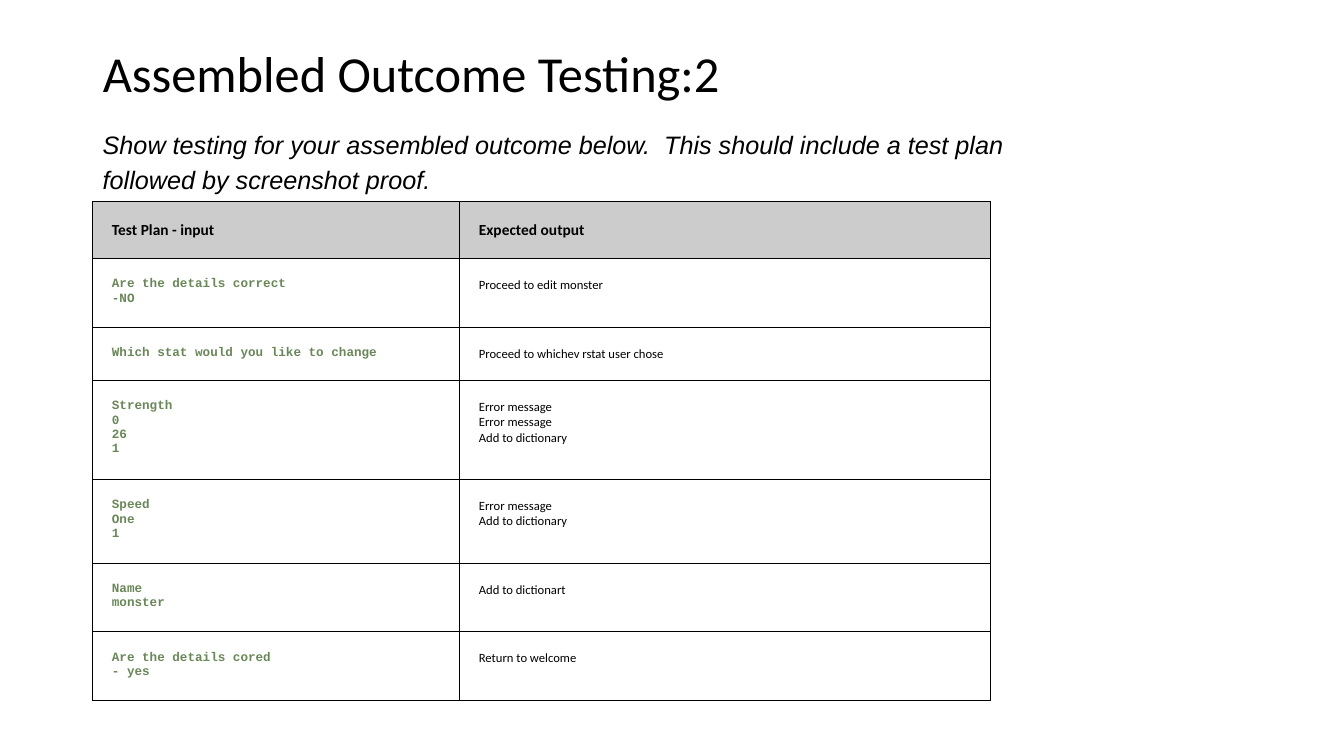
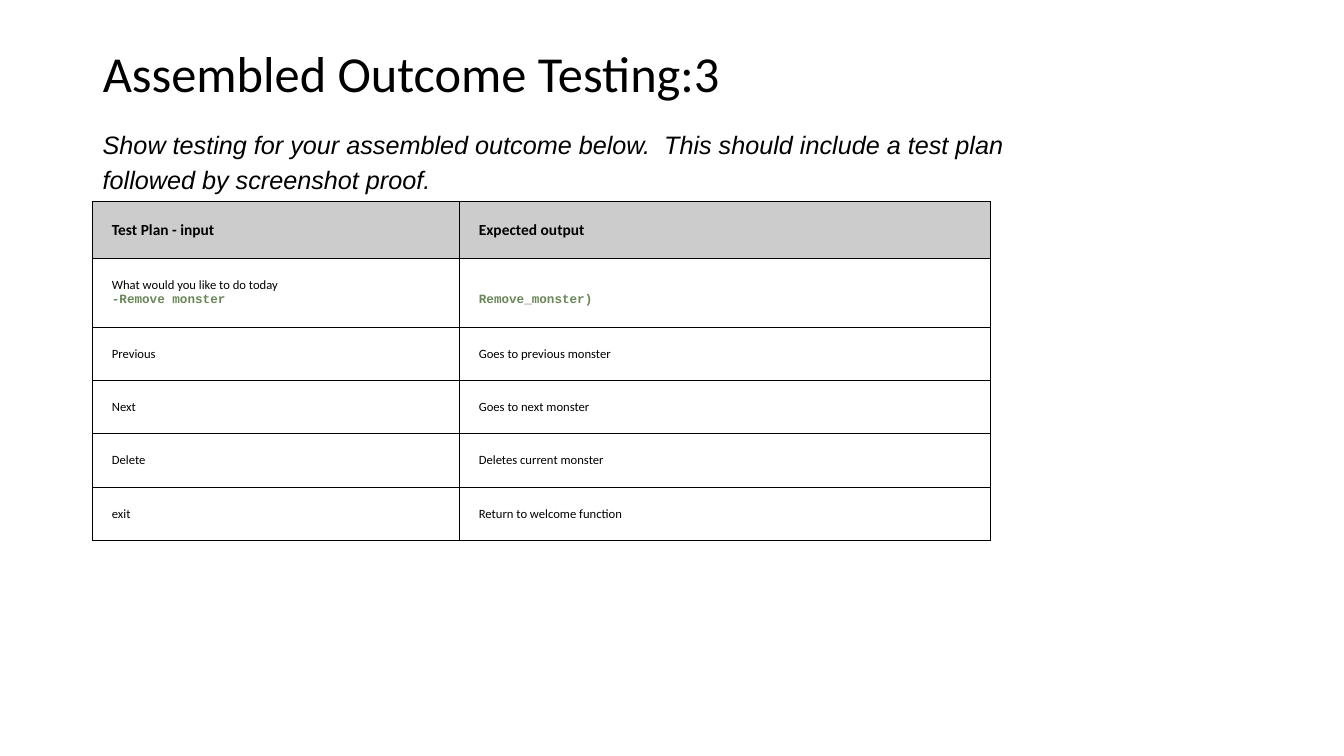
"""Build two test plan slides, each with a title, a brief and a table."""
from pptx import Presentation
from pptx.dml.color import RGBColor as RGB
from pptx.enum.text import MSO_ANCHOR as ANCHOR, MSO_AUTO_SIZE as AUTO, PP_ALIGN as ALIGN
from pptx.oxml import parse_xml
from pptx.oxml.ns import nsdecls
from pptx.util import Inches, Pt

BLACK = RGB(0x00, 0x00, 0x00)
WHITE = RGB(0xFF, 0xFF, 0xFF)
GREY = RGB(0xCC, 0xCC, 0xCC)
GREEN = RGB(0x6A, 0x87, 0x59)

HEAD = ("Calibri", 11, BLACK, True)
PLAIN = ("Calibri", 9, BLACK, False)
CODE = ("Courier New", 9, GREEN, True)

LEFT, TOP = 0.92, 2
COLS = (3.64, 5.26)
PAD, LINE, HEAD_H = 0.19, 0.15, 0.56

BRIEF = ("Show testing for your assembled outcome below.  This should include "
         "a test plan followed by screenshot proof.")


def code(*lines):
    return [(line, CODE) for line in lines]


def plain(*lines):
    return [(line, PLAIN) for line in lines]


HEADS = ([("Test Plan - input", HEAD)], [("Expected output", HEAD)])
PLANS = [
    ("Assembled Outcome Testing:2", [
        (code("Are the details correct", "-NO"), plain("Proceed to edit monster")),
        (code("Which stat would you like to change"),
         plain("Proceed to whichev rstat user chose")),
        (code("Strength", "0", "26", "1"),
         plain("Error message", "Error message", "Add to dictionary")),
        (code("Speed", "One", "1"), plain("Error message", "Add to dictionary")),
        (code("Name", "monster"), plain("Add to dictionart")),
        (code("Are the details cored", "- yes"), plain("Return to welcome")),
    ]),
    ("Assembled Outcome Testing:3", [
        (plain("What would you like to do today") + code("-Remove monster"),
         code("Remove_monster)")),
        (plain("Previous"), plain("Goes to previous monster")),
        (plain("Next"), plain("Goes to next monster")),
        (plain("Delete"), plain("Deletes current monster")),
        (plain("exit"), plain("Return to welcome function")),
    ]),
]


def style(para, face, size, color, bold=False):
    font = para.font
    font.name, font.size, font.bold = face, Pt(size), bold
    font.color.rgb = color


def add_title(slide, text):
    title = slide.shapes.title
    title.left, title.top = Inches(LEFT), Inches(0.44)
    title.width, title.height = Inches(11.5), Inches(0.64)
    frame = title.text_frame
    frame.text = text
    frame.auto_size = AUTO.NONE
    frame.vertical_anchor = ANCHOR.MIDDLE
    para = frame.paragraphs[0]
    para.alignment, para.line_spacing = ALIGN.LEFT, 0.9
    style(para, "Calibri", 36, BLACK)


def add_brief(slide):
    box = slide.shapes.add_textbox(Inches(LEFT), Inches(1.19), Inches(9.59), Inches(0.77))
    frame = box.text_frame
    frame.word_wrap = True
    frame.auto_size = AUTO.SHAPE_TO_FIT_TEXT
    frame.text = BRIEF
    para = frame.paragraphs[0]
    para.line_spacing = 1.15
    style(para, "Arial", 18, BLACK)
    para.font.italic = True


def add_edges(cell):
    props = cell._tc.get_or_add_tcPr()
    for spot, side in enumerate(("lnL", "lnR", "lnT", "lnB")):
        props.insert(spot, parse_xml(
            f'<a:{side} {nsdecls("a")} w="{Pt(0.75)}"><a:solidFill>'
            f'<a:srgbClr val="{BLACK}"/></a:solidFill></a:{side}>'))


def fill_cell(cell, lines, color):
    cell.margin_left = cell.margin_right = Inches(PAD)
    cell.margin_top = cell.margin_bottom = Inches(PAD)
    cell.fill.solid()
    cell.fill.fore_color.rgb = color
    add_edges(cell)
    frame = cell.text_frame
    frame.text = "\n".join(text for text, look in lines)
    for para, (text, look) in zip(frame.paragraphs, lines):
        style(para, *look)


def add_plan(slide, rows):
    highs = [HEAD_H] + [2 * PAD + LINE * max(map(len, row)) for row in rows]
    grid = slide.shapes.add_table(
        len(highs), len(COLS), Inches(LEFT), Inches(TOP),
        Inches(sum(COLS)), Inches(sum(highs))).table
    grid.first_row = grid.horz_banding = False
    for col, wide in zip(grid.columns, COLS):
        col.width = Inches(wide)
    for r, (row, high) in enumerate(zip([HEADS] + rows, highs)):
        grid.rows[r].height = Inches(high)
        for c, lines in enumerate(row):
            fill_cell(grid.cell(r, c), lines, WHITE if r else GREY)
    return grid


def main():
    deck = Presentation()
    deck.slide_width, deck.slide_height = Inches(13.33), Inches(7.5)
    for title, rows in PLANS:
        slide = deck.slides.add_slide(deck.slide_layouts[5])
        add_title(slide, title)
        add_brief(slide)
        grid = add_plan(slide, rows)
    grid.cell(1, 1).margin_top = Inches(PAD + LINE)
    deck.save("out.pptx")


if __name__ == "__main__":
    main()
